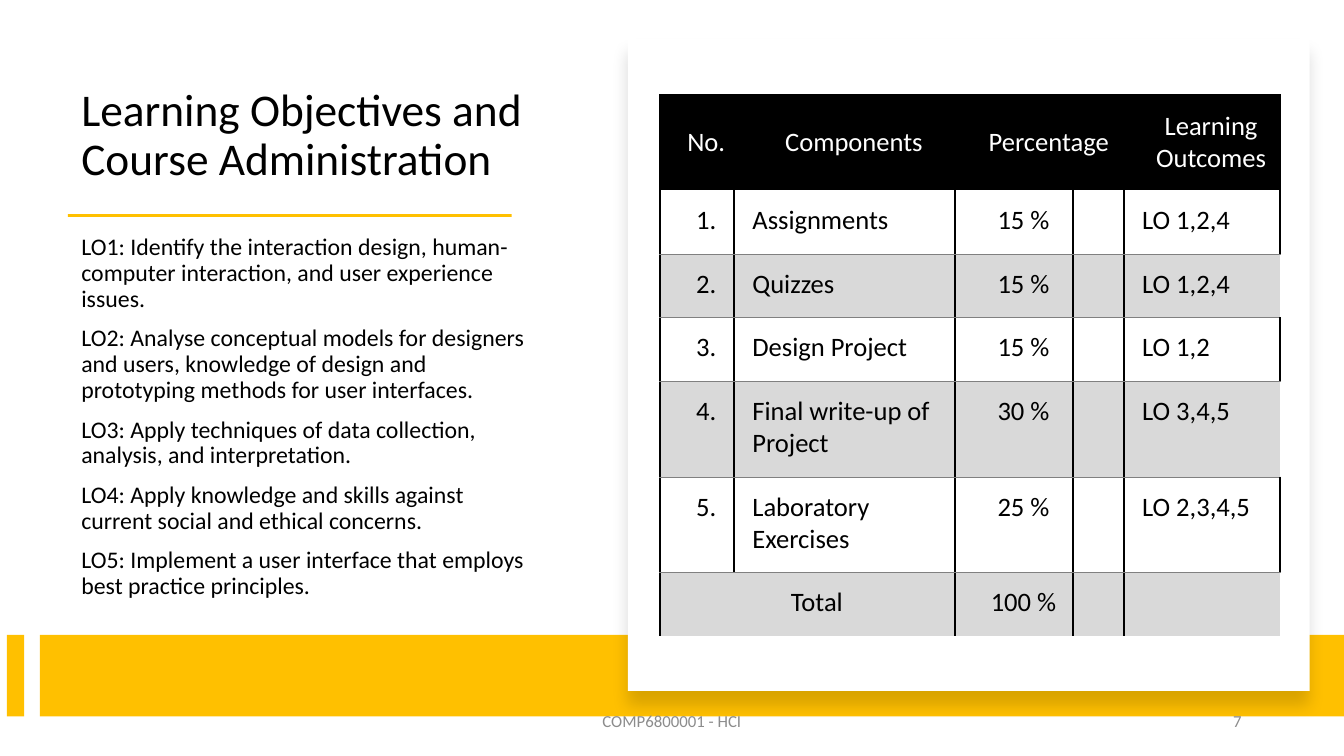
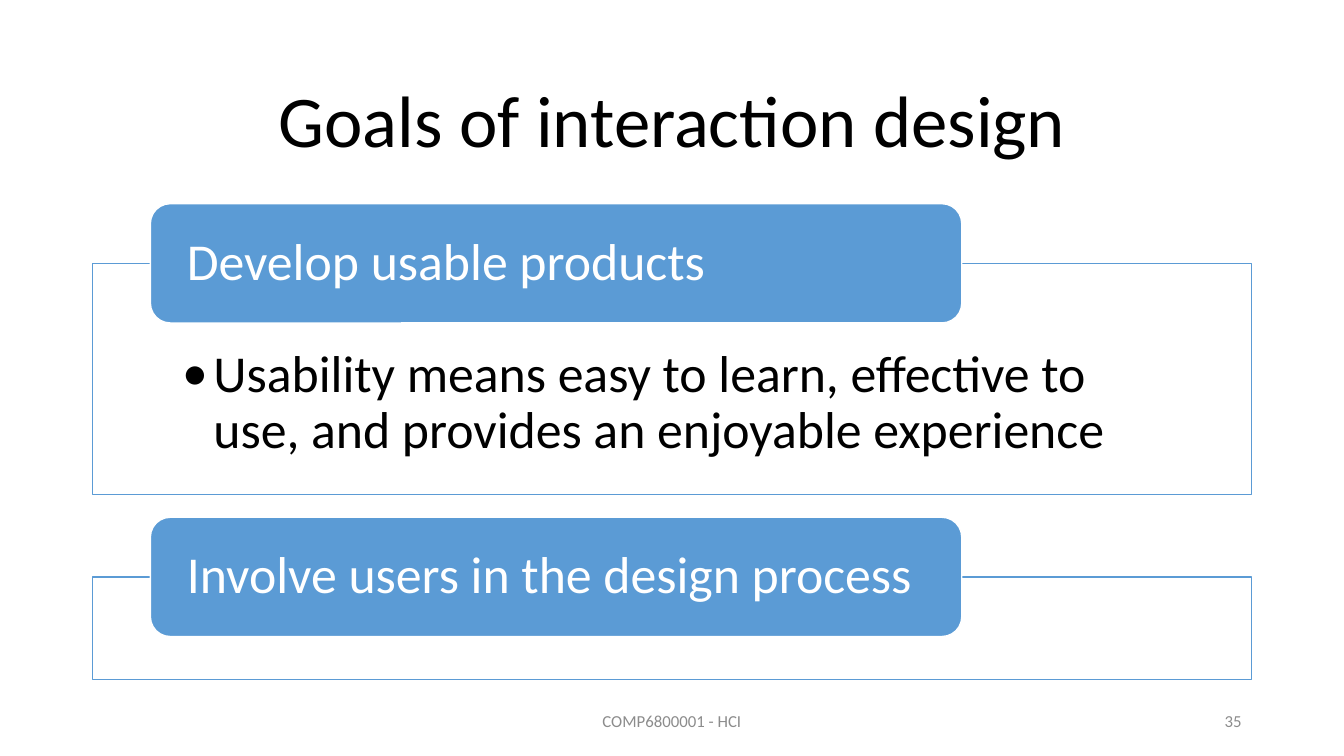
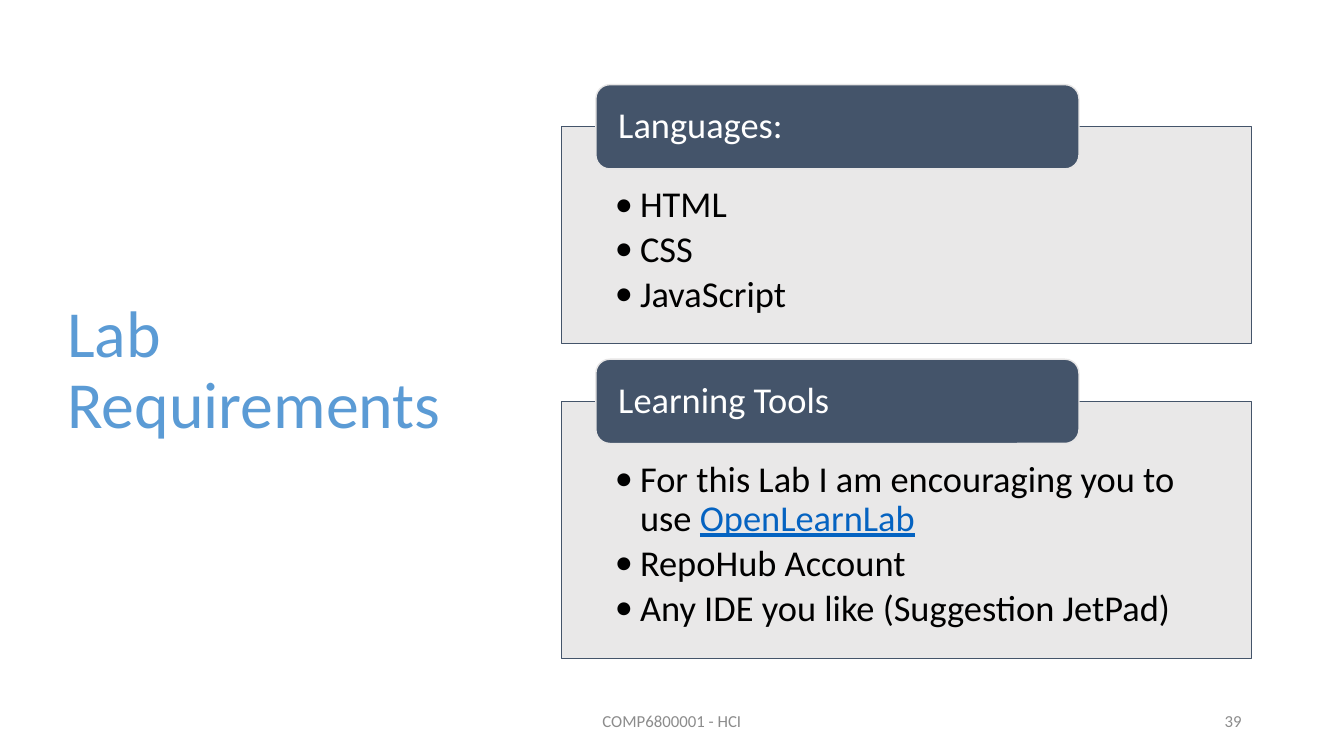
from lxml import etree
from pptx import Presentation
from pptx.dml.color import RGBColor
from pptx.enum import shapes, text
from pptx.oxml import ns
from pptx.util import Pt

COLORS = {
    "black": "000000", "white": "FFFFFF", "gold": "FFC000", "blue": "5B9BD5",
    "navy": "44546A", "pale": "E7E6E6", "band": "D9D9D9", "rule": "808080",
    "footer": "8C8C8C", "link": "0563C1",
}
FONT = "Calibri"
LEFT, CENTER, RIGHT = text.PP_ALIGN.LEFT, text.PP_ALIGN.CENTER, text.PP_ALIGN.RIGHT
TOP, MIDDLE, BOTTOM = text.MSO_ANCHOR.TOP, text.MSO_ANCHOR.MIDDLE, text.MSO_ANCHOR.BOTTOM
RECTANGLE = shapes.MSO_SHAPE.RECTANGLE
NO_STYLE = "{2D5ABB26-0587-4C30-8999-92F81FD0307C}"


def add_box(slide, box, kind=None, fill=None, line=None, alpha=None):
    """Add a preset shape, or a plain text box when no kind is given."""
    lengths = [Pt(round(value, 2)) for value in box]
    if kind is None:
        return slide.shapes.add_textbox(*lengths)
    shape = slide.shapes.add_shape(kind, *lengths)
    shape.shadow.inherit = False
    shape.fill.solid()
    shape.fill.fore_color.rgb = RGBColor.from_string(COLORS[fill])
    if alpha:
        color = shape._element.spPr.find(ns.qn("a:solidFill"))[0]
        etree.SubElement(color, ns.qn("a:alpha"), val=str(alpha * 1000))
    if line:
        shape.line.color.rgb = RGBColor.from_string(COLORS[line])
        shape.line.width = Pt(1)
    else:
        shape.line.fill.background()
    return shape


def write(frame, lines, size, color="black", align=LEFT, anchor=MIDDLE, spacing=0.9,
          before=0, after=0, indent=0, insets=None):
    """Write one paragraph a line; a line may be a (plain, linked) pair."""
    frame.word_wrap = True
    frame.vertical_anchor = anchor
    if insets:
        (frame.margin_left, frame.margin_top,
         frame.margin_right, frame.margin_bottom) = [Pt(round(value, 2)) for value in insets]
    for index, line in enumerate(lines):
        plain, linked = (line, None) if isinstance(line, str) else line
        paragraph = frame.add_paragraph() if index else frame.paragraphs[0]
        paragraph.add_run().text = plain
        if indent:
            properties = paragraph._p.get_or_add_pPr()
            properties.set("marL", str(Pt(indent)))
            properties.set("indent", str(-Pt(indent)))
            etree.SubElement(properties, ns.qn("a:buFont"), typeface=FONT)
            etree.SubElement(properties, ns.qn("a:buChar"), char="•")
        paragraph.alignment = align
        paragraph.line_spacing = spacing
        paragraph.space_before = Pt(before if index else 0)
        paragraph.space_after = Pt(after)
        paragraph.font.size = Pt(size)
        paragraph.font.name = FONT
        paragraph.font.color.rgb = RGBColor.from_string(COLORS[color])
        if linked:
            run = paragraph.add_run()
            run.text = linked
            run.font.underline = True
            run.font.color.rgb = RGBColor.from_string(COLORS["link"])


presentation = Presentation()
presentation.slide_width, presentation.slide_height = Pt(960), Pt(540)
blank = presentation.slide_layouts[6]
course, goals, lab = [presentation.slides.add_slide(blank) for _ in range(3)]

# Titles
for slide, box, title, size, color, align, anchor in [
    (course, (51, 42, 337, 94), "Learning Objectives and Course Administration",
     32.4, "black", LEFT, BOTTOM),
    (goals, (66, 44, 828, 89), "Goals of interaction design", 52, "black", CENTER, MIDDLE),
    (lab, (41, 49, 300, 433), "Lab Requirements", 47, "blue", LEFT, MIDDLE),
]:
    write(add_box(slide, box).text_frame, [title], size, color, align, anchor)

# Learning objectives
objectives = [
    "LO1: Identify the interaction design, human-computer interaction, and user experience issues.",
    "LO2: Analyse conceptual models for designers and users, knowledge of design and "
    "prototyping methods for user interfaces.",
    "LO3: Apply techniques of data collection, analysis, and interpretation.",
    "LO4: Apply knowledge and skills against current social and ethical concerns.",
    "LO5: Implement a user interface that employs best practice principles.",
]
write(add_box(course, (51, 160, 337, 276.5)).text_frame, objectives, 17, before=10)
for bar in [(48.5, 153, 317, 2), (5, 453.5, 12.3, 58.3), (28.4, 453.5, 931.6, 58.3)]:
    add_box(course, bar, RECTANGLE, "gold")
card = add_box(course, (448.5, 28, 487, 465.5), RECTANGLE, "white")
shadow = etree.SubElement(
    card._element.spPr.find(ns.qn("a:effectLst")), ns.qn("a:outerShdw"),
    blurRad=str(Pt(11)), dist=str(Pt(10)), dir="5400000", algn="t", rotWithShape="0")
shadow_color = etree.SubElement(shadow, ns.qn("a:srgbClr"), val=COLORS["black"])
etree.SubElement(shadow_color, ns.qn("a:alpha"), val="15000")

# Assessment table
rows = [
    ["No.", "Components", "Percentage", "", "Learning Outcomes"],
    ["1.", "Assignments", "15 %", "", "LO 1,2,4"],
    ["2.", "Quizzes", "15 %", "", "LO 1,2,4"],
    ["3.", "Design Project", "15 %", "", "LO 1,2"],
    ["4.", "Final write-up of Project", "30 %", "", "LO 3,4,5"],
    ["5.", "Laboratory Exercises", "25 %", "", "LO 2,3,4,5"],
    ["Total", "", "100 %", "", ""],
]
widths = [53, 158, 84.2, 36.2, 111.5]
heights = [68.2, 45.5, 45.5, 45.5, 68.2, 68.2, 45.5]
table_frame = course.shapes.add_table(
    len(rows), len(widths), Pt(471.5), Pt(67.8), Pt(sum(widths)), Pt(sum(heights)))
table_frame._element.find(".//" + ns.qn("a:tableStyleId")).text = NO_STYLE
table = table_frame.table
table.first_row = table.horz_banding = False
for column, width in zip(table.columns, widths):
    column.width = Pt(width)
for row, height in zip(table.rows, heights):
    row.height = Pt(height)
table.cell(0, 2).merge(table.cell(0, 3))
table.cell(6, 0).merge(table.cell(6, 1))

outline, hairline, no_line = ("black", 1.5), ("rule", 0.5), (None, 0)
for row_index, row in enumerate(rows):
    for column_index, label in enumerate(row):
        cell = table.cell(row_index, column_index)
        if cell.is_spanned:
            continue
        last_column = column_index == len(row) - 1
        if row_index == 0:
            fill, borders = "black", {"lnL": outline, "lnT": outline}
        elif row_index % 2:
            fill, borders = None, {"lnL": outline, "lnR": outline, "lnB": hairline}
        else:
            fill = "band"
            borders = {"lnL": outline, "lnR": no_line if last_column else outline,
                       "lnT": hairline}
        properties = cell._tc.get_or_add_tcPr()
        for side, (color, width) in borders.items():
            border = etree.SubElement(properties, ns.qn("a:" + side), w=str(Pt(width)))
            if color:
                solid = etree.SubElement(border, ns.qn("a:solidFill"))
                etree.SubElement(solid, ns.qn("a:srgbClr"), val=COLORS[color])
            else:
                etree.SubElement(border, ns.qn("a:noFill"))
        if fill:
            cell.fill.solid()
            cell.fill.fore_color.rgb = RGBColor.from_string(COLORS[fill])
        else:
            cell.fill.background()
        if label:
            header = row_index == 0
            centered = header or column_index in (0, 2)
            write(cell.text_frame, [label], 19, "white" if header else "black",
                  CENTER if centered else LEFT, spacing=1)
            cell.vertical_anchor = MIDDLE if header else TOP
            cell.margin_left, cell.margin_right = Pt(13), Pt(0)
            cell.margin_top = cell.margin_bottom = Pt(10)

# Panels, each with a heading tab centred on its top edge
diagrams = [
    dict(slide=goals, left=66, top=145.5, width=828, tab=85.2, gap=16.4, size=37, indent=22.3,
         inset=(60.5, 21), panel="white", accent="blue", edge="white", panels=[
             ("Develop usable products", 165,
              ["Usability means easy to learn, effective to use, "
               "and provides an enjoyable experience"]),
             ("Involve users in the design process", 73.5, []),
         ]),
    dict(slide=lab, left=401, top=60.5, width=493, tab=60.2, gap=11, size=26, indent=18,
         inset=(42.5, 14.4), panel="pale", accent="navy", edge="pale", panels=[
             ("Languages:", 155, ["HTML", "CSS", "JavaScript"]),
             ("Learning Tools", 183.5,
              [("For this Lab I am encouraging you to use ", "OpenLearnLab"),
               "RepoHub Account", "Any IDE you like (Suggestion JetPad)"]),
         ]),
]
for diagram in diagrams:
    slide, left, width = diagram["slide"], diagram["left"], diagram["width"]
    tab, size, accent = diagram["tab"], diagram["size"], diagram["accent"]
    tab_top = diagram["top"]
    side, (above, below) = 0.0775 * width, diagram["inset"]
    for heading, height, bullets in diagram["panels"]:
        panel_top = tab_top + tab / 2
        panel = add_box(slide, (left, panel_top, width, height), RECTANGLE,
                        diagram["panel"], accent, alpha=90)
        if bullets:
            write(panel.text_frame, bullets, size, anchor=TOP, after=3.9,
                  indent=diagram["indent"], insets=(side, above, side, below))
        heading_tab = add_box(slide, (left + 0.05 * width, tab_top, 0.7 * width, tab),
                              shapes.MSO_SHAPE.ROUNDED_RECTANGLE, accent, diagram["edge"])
        write(heading_tab.text_frame, [heading], size, "white",
              insets=(0.0265 * width, 0, 0.0265 * width, 0))
        tab_top = panel_top + height + diagram["gap"]

# Footers
for slide, number in [(course, "7"), (goals, "35"), (lab, "39")]:
    for box, label, align in [((318, 500.5, 324, 28.8), "COMP6800001 - HCI", CENTER),
                              ((678, 500.5, 216, 28.8), number, RIGHT)]:
        write(add_box(slide, box).text_frame, [label], 12, "footer", align, spacing=1)

presentation.save("out.pptx")
